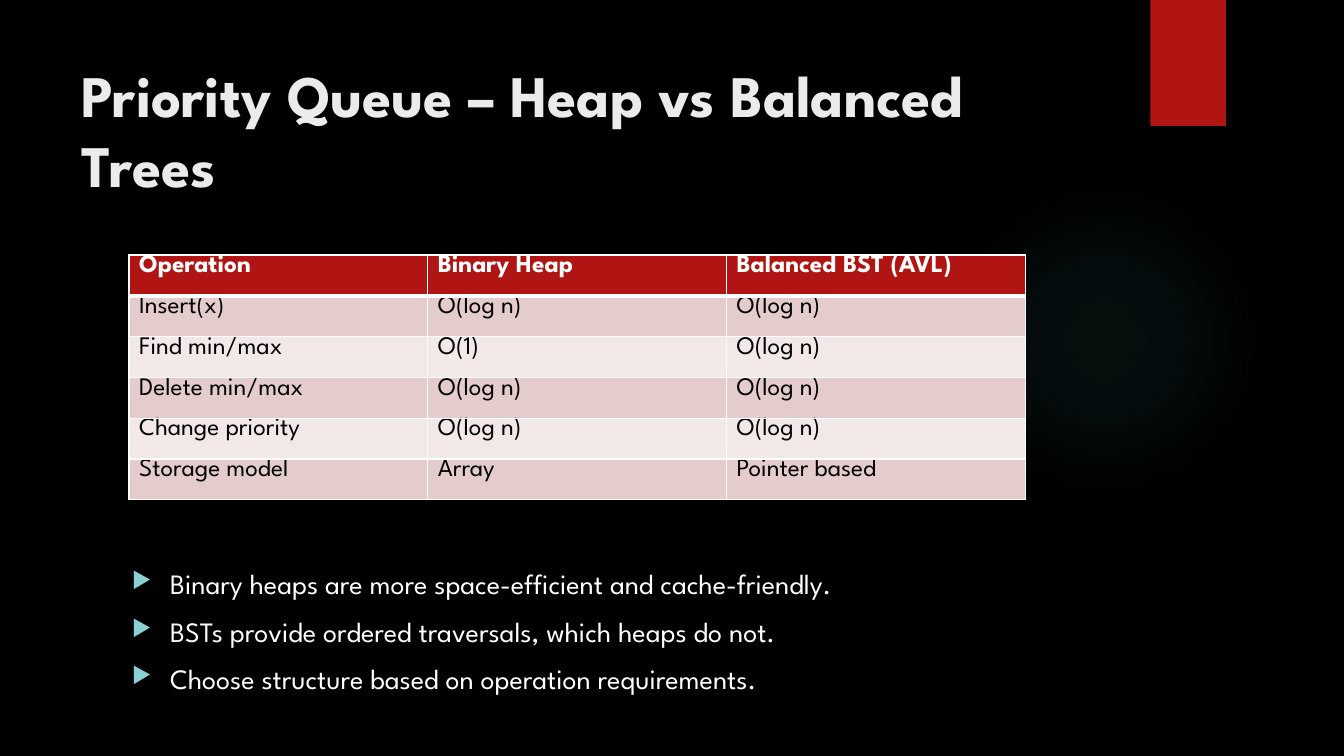
from dataclasses import dataclass

import pptx
import pptx.util
import pptx.dml.color
import pptx.enum.shapes
import pptx.enum.text
import pptx.oxml
import pptx.oxml.ns

Inches = pptx.util.Inches
Pt = pptx.util.Pt
ANCHOR = pptx.enum.text.MSO_ANCHOR
SHAPE = pptx.enum.shapes.MSO_SHAPE


@dataclass(frozen=True)
class Theme:
    font: str = "League Spartan"
    background: str = "000000"
    accent: str = "B01513"
    glow: str = "50B9C1"
    title: str = "EBEBEB"
    light: str = "FFFFFF"
    dark: str = "000000"
    bullet: str = "8AD0D6"
    bands: tuple = ("E4CCCC", "F2E8E7")
    title_size: int = 42
    body_size: int = 20
    table_size: int = 18


THEME = Theme()
OPERATIONS = [
    ("Operation", "Binary Heap", "Balanced BST (AVL)"),
    ("Insert(x)", "O(log n)", "O(log n)"),
    ("Find min/max", "O(1)", "O(log n)"),
    ("Delete min/max", "O(log n)", "O(log n)"),
    ("Change priority", "O(log n)", "O(log n)"),
    ("Storage model", "Array", "Pointer based"),
]
REMARKS = [
    "Binary heaps are more space-efficient and cache-friendly.",
    "BSTs provide ordered traversals, which heaps do not.",
    "Choose structure based on operation requirements.",
]


def rgb(color):
    return pptx.dml.color.RGBColor.from_string(color)


def element(markup):
    tag, rest = markup.split(" ", 1)
    return pptx.oxml.parse_xml(f"{tag} {pptx.oxml.ns.nsdecls('a')} {rest}")


def write(para, text, size, color, bold=False):
    span = para.add_run()
    span.text = text
    span.font.name = THEME.font
    span.font.size = Pt(size)
    span.font.bold = bold
    span.font.color.rgb = rgb(color)


def add_plain_shape(page, kind, left, top, width, height):
    shape = page.shapes.add_shape(
        kind, Inches(left), Inches(top), Inches(width), Inches(height))
    shape.shadow.inherit = False
    shape.line.fill.background()
    return shape


def add_glow(page):
    glow = add_plain_shape(page, SHAPE.OVAL, 9.41, 1.83, 3.08, 3.08)
    stops = "".join(
        f'<a:gs pos="{place * 1000}"><a:srgbClr val="{THEME.glow}">'
        f'<a:alpha val="{alpha * 1000}"/></a:srgbClr></a:gs>'
        for place, alpha in ((0, 7), (36, 6), (69, 0)))
    gradient = element(
        f'<a:gradFill rotWithShape="1"><a:gsLst>{stops}</a:gsLst><a:path path="circle">'
        '<a:fillToRect l="50000" t="50000" r="50000" b="50000"/></a:path></a:gradFill>')
    glow._element.spPr.find(pptx.oxml.ns.qn("a:prstGeom")).addnext(gradient)


def add_ribbon(page):
    ribbon = add_plain_shape(page, SHAPE.RECTANGLE, 11.41, 0, 0.75, 1.25)
    ribbon.fill.solid()
    ribbon.fill.fore_color.rgb = rgb(THEME.accent)


def add_text_box(page, left, top, width, height, anchor):
    box = page.shapes.add_textbox(
        Inches(left), Inches(top), Inches(width), Inches(height))
    box.text_frame.word_wrap = True
    box.text_frame.vertical_anchor = anchor
    return box.text_frame


def add_title(page, text):
    frame = add_text_box(page, 0.71, 0.5, 10.29, 1.53, ANCHOR.BOTTOM)
    write(frame.paragraphs[0], text, THEME.title_size, THEME.title, bold=True)


def add_bullets(page, lines):
    frame = add_text_box(page, 1.21, 5.57, 9.78, 1.4, ANCHOR.TOP)
    for index, line in enumerate(lines):
        para = frame.add_paragraph() if index else frame.paragraphs[0]
        properties = para._p.get_or_add_pPr()
        properties.set("marL", str(Inches(0.38)))
        properties.set("indent", str(-Inches(0.38)))
        if index:
            para.space_before = Pt(10)
        for markup in (
                f'<a:buClr ><a:srgbClr val="{THEME.bullet}"/></a:buClr>',
                '<a:buSzPct val="80000"/>',
                '<a:buChar char="▶"/>'):
            properties.append(element(markup.replace("<a:buClr >", "<a:buClr  >")))
        write(para, line, THEME.body_size, THEME.light)


def set_borders(cell, top, bottom):
    for side, width in (("L", 1), ("R", 1), ("T", top), ("B", bottom)):
        cell._tc.get_or_add_tcPr().append(element(
            f'<a:ln{side} w="{Pt(width)}"><a:solidFill>'
            f'<a:srgbClr val="{THEME.light}"/></a:solidFill></a:ln{side}>'))


def add_table(page, rows):
    table = page.shapes.add_table(
        len(rows), len(rows[0]), Inches(1.28), Inches(2.53),
        Inches(8.89), Inches(2.43)).table
    for row_index, row in enumerate(rows):
        header = row_index == 0
        fill = THEME.accent if header else THEME.bands[(row_index - 1) % 2]
        for column_index, text in enumerate(row):
            cell = table.cell(row_index, column_index)
            cell.margin_top = cell.margin_bottom = 0
            set_borders(cell, 3 if row_index == 1 else 1, 3 if header else 1)
            cell.fill.solid()
            cell.fill.fore_color.rgb = rgb(fill)
            write(cell.text_frame.paragraphs[0], text, THEME.table_size,
                  THEME.light if header else THEME.dark, bold=header)


def main():
    deck = pptx.Presentation()
    deck.slide_width, deck.slide_height = Inches(13.33), Inches(7.5)
    page = deck.slides.add_slide(deck.slide_layouts[6])
    page.background.fill.solid()
    page.background.fill.fore_color.rgb = rgb(THEME.background)
    add_glow(page)
    add_ribbon(page)
    add_title(page, "Priority Queue – Heap vs Balanced Trees")
    add_bullets(page, REMARKS)
    add_table(page, OPERATIONS)
    deck.save("out.pptx")


if __name__ == "__main__":
    main()
